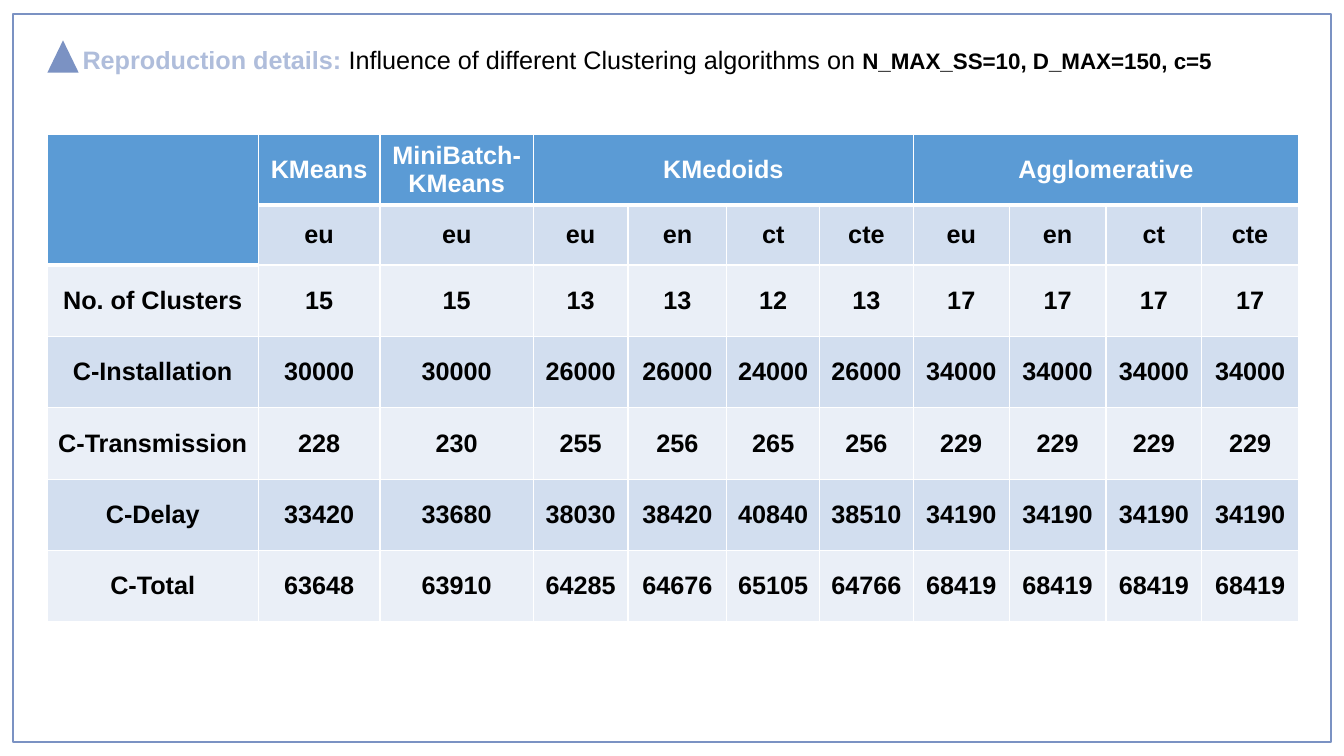
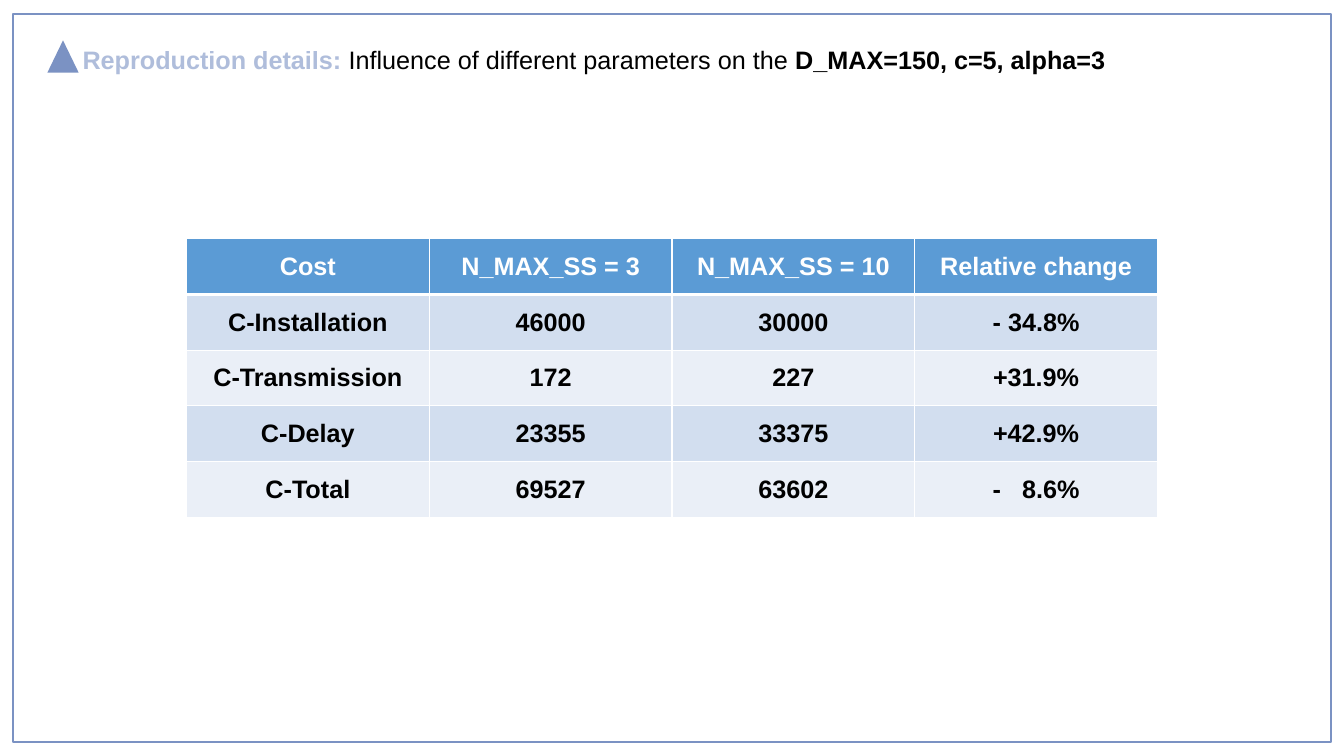
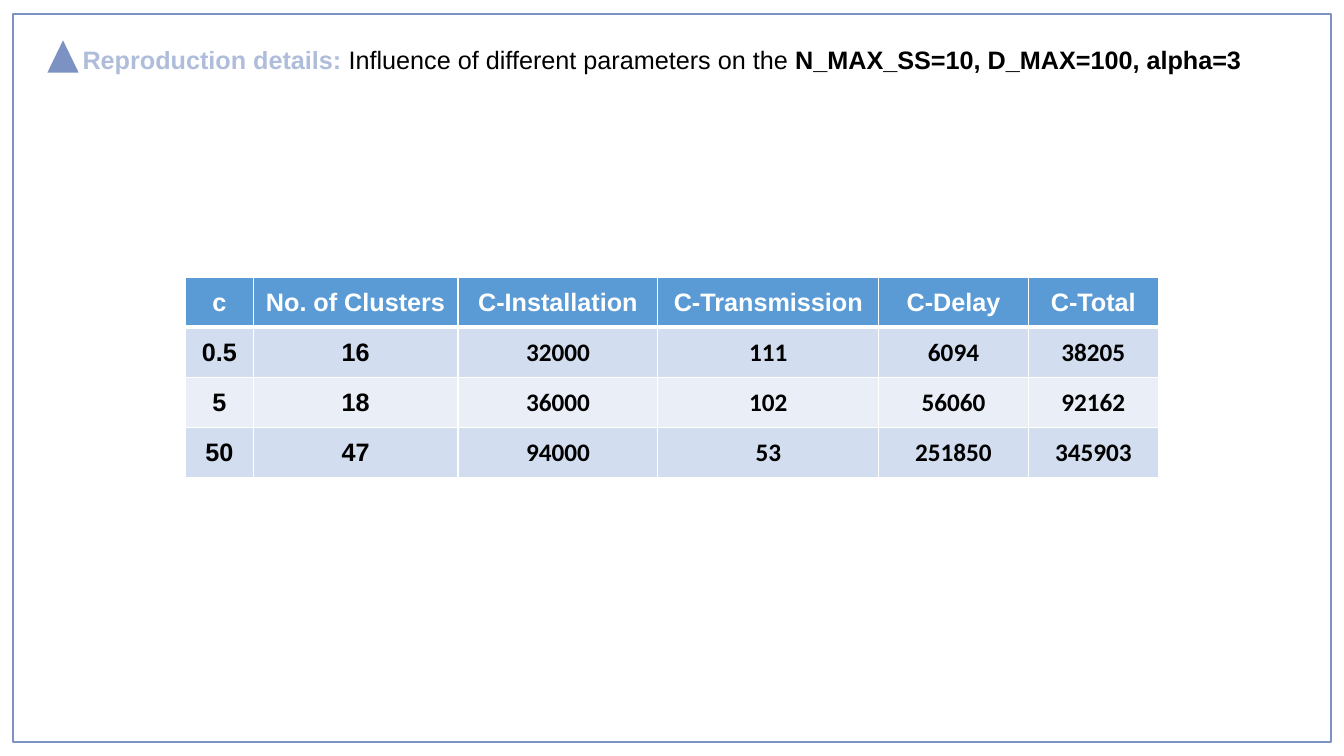
from lxml import etree
from pptx import Presentation
from pptx import util as u
from pptx.dml.color import RGBColor
from pptx.enum import shapes, text
from pptx.oxml.ns import qn

ACCENT = "7B92C3"
HEADER = "5B9BD5"
BANDS = ["EAEFF7", "D2DEEF"]
WHITE = "FFFFFF"
BLACK = "000000"
FONT = "Arial"

deck = Presentation()
deck.slide_width = u.Inches(13.33)
deck.slide_height = u.Inches(7.5)


def paint(fill, color):
    fill.solid()
    fill.fore_color.rgb = RGBColor.from_string(color)


def rule_cell(cell, side, points):
    line = etree.SubElement(cell._tc.get_or_add_tcPr(), qn("a:" + side), w=str(u.Pt(points)))
    solid = etree.SubElement(line, qn("a:solidFill"))
    etree.SubElement(solid, qn("a:srgbClr"), val=WHITE)


slides = [
    {
        "topic": "Influence of different Clustering algorithms on ",
        "settings": "N_MAX_SS=10, D_MAX=150, c=5",
        "settings_size": 16,
        "at": (0.47, 1.33, 12.41, 4.84),
        "columns": [2.09, 1.21, 1.52, 0.94, 0.98, 0.92, 0.93, 0.95, 0.96, 0.95, 0.96],
        "rows": [0.7, 0.6, 0.71, 0.71, 0.71, 0.71, 0.71],
        "merges": [(0, 0, 1, 0), (0, 3, 0, 6), (0, 7, 0, 10)],
        "value_font": FONT,
        "cells": [
            "|KMeans|MiniBatch-KMeans|KMedoids||||Agglomerative|||",
            "|eu|eu|eu|en|ct|cte|eu|en|ct|cte",
            "No. of Clusters|15|15|13|13|12|13|17|17|17|17",
            "C-Installation|30000|30000|26000|26000|24000|26000|34000|34000|34000|34000",
            "C-Transmission|228|230|255|256|265|256|229|229|229|229",
            "C-Delay|33420|33680|38030|38420|40840|38510|34190|34190|34190|34190",
            "C-Total|63648|63910|64285|64676|65105|64766|68419|68419|68419|68419",
        ],
    },
    {
        "topic": "Influence of different parameters on the ",
        "settings": "D_MAX=150, c=5, alpha=3",
        "settings_size": 18,
        "at": (1.85, 2.37, 9.63, 2.76),
        "columns": [1] * 4,
        "rows": [1] * 5,
        "merges": [],
        "value_font": FONT,
        "cells": [
            "Cost|N_MAX_SS = 3|N_MAX_SS = 10|Relative change",
            "C-Installation|46000|30000|- 34.8%",
            "C-Transmission|172|227|+31.9%",
            "C-Delay|23355|33375|+42.9%",
            "C-Total|69527|63602|- 8.6%",
        ],
    },
    {
        "topic": "Influence of different parameters on the ",
        "settings": "N_MAX_SS=10, D_MAX=100, alpha=3",
        "settings_size": 18,
        "at": (1.84, 2.75, 9.65, 1.99),
        "columns": [0.67, 2.03, 1.98, 2.19, 1.48, 1.29],
        "rows": [1] * 4,
        "merges": [],
        "value_font": "Calibri",
        "cells": [
            "c|No. of Clusters|C-Installation|C-Transmission|C-Delay|C-Total",
            "0.5|16|32000|111|6094|38205",
            "5|18|36000|102|56060|92162",
            "50|47|94000|53|251850|345903",
        ],
    },
]

for content in slides:
    page = deck.slides.add_slide(deck.slide_layouts[6])

    frame = page.shapes.add_shape(
        shapes.MSO_SHAPE.RECTANGLE, *map(u.Inches, (0.13, 0.14, 13.07, 7.22)))
    frame.shadow.inherit = False
    paint(frame.fill, WHITE)
    paint(frame.line.fill, ACCENT)
    frame.line.width = u.Pt(1)

    marker = page.shapes.add_shape(
        shapes.MSO_SHAPE.ISOSCELES_TRIANGLE, *map(u.Inches, (0.47, 0.4, 0.31, 0.32)))
    marker.shadow.inherit = False
    paint(marker.fill, ACCENT)
    marker.line.fill.background()

    title = page.shapes.add_textbox(*map(u.Inches, (0.72, 0.39, 11.78, 0.4)))
    title.text_frame.word_wrap = True
    title.text_frame.auto_size = text.MSO_AUTO_SIZE.SHAPE_TO_FIT_TEXT
    para = title.text_frame.paragraphs[0]
    for words, size, color, bold in [
        ("Reproduction details: ", 18, ACCENT, True),
        (content["topic"], 18, BLACK, False),
        (content["settings"], content["settings_size"], BLACK, True),
    ]:
        span = para.add_run()
        span.text = words
        span.font.name = FONT
        span.font.size = u.Pt(size)
        span.font.bold = bold
        paint(span.font.fill, color)
    label_color = para.runs[0]._r.find(".//" + qn("a:srgbClr"))
    etree.SubElement(label_color, qn("a:alpha"), val="60000")

    cells = [line.split("|") for line in content["cells"]]
    left, top, width, height = map(u.Inches, content["at"])
    columns, rows = content["columns"], content["rows"]
    table = page.shapes.add_table(len(rows), len(columns), left, top, width, height).table
    for column, share in zip(table.columns, columns):
        column.width = round(width * share / sum(columns))
    for row, share in zip(table.rows, rows):
        row.height = round(height * share / sum(rows))
    for first_row, first_column, last_row, last_column in content["merges"]:
        table.cell(first_row, first_column).merge(table.cell(last_row, last_column))

    for r, line in enumerate(cells):
        for c, words in enumerate(line):
            cell = table.cell(r, c)
            header_depth = 1 if cells[1][c] else 2
            is_header = r < header_depth
            rule_cell(cell, "lnL", 1)
            rule_cell(cell, "lnR", 1)
            rule_cell(cell, "lnT", 3 if r == header_depth else 1)
            rule_cell(cell, "lnB", 3 if is_header else 1)
            paint(cell.fill, HEADER if is_header else BANDS[r % 2])
            cell.vertical_anchor = text.MSO_ANCHOR.MIDDLE
            if not words:
                continue
            para = cell.text_frame.paragraphs[0]
            para.alignment = text.PP_ALIGN.CENTER
            pieces = ["-", " 8.6%"] if words == "- 8.6%" else [words]
            for piece in pieces:
                span = para.add_run()
                span.text = piece
                span.font.name = FONT if is_header or c < 2 else content["value_font"]
                span.font.size = u.Pt(18)
                span.font.bold = True
                paint(span.font.fill, WHITE if is_header else BLACK)
            if len(pieces) > 1:
                para.runs[0]._r.get_or_add_rPr().set("spc", "1000")

deck.save("out.pptx")
